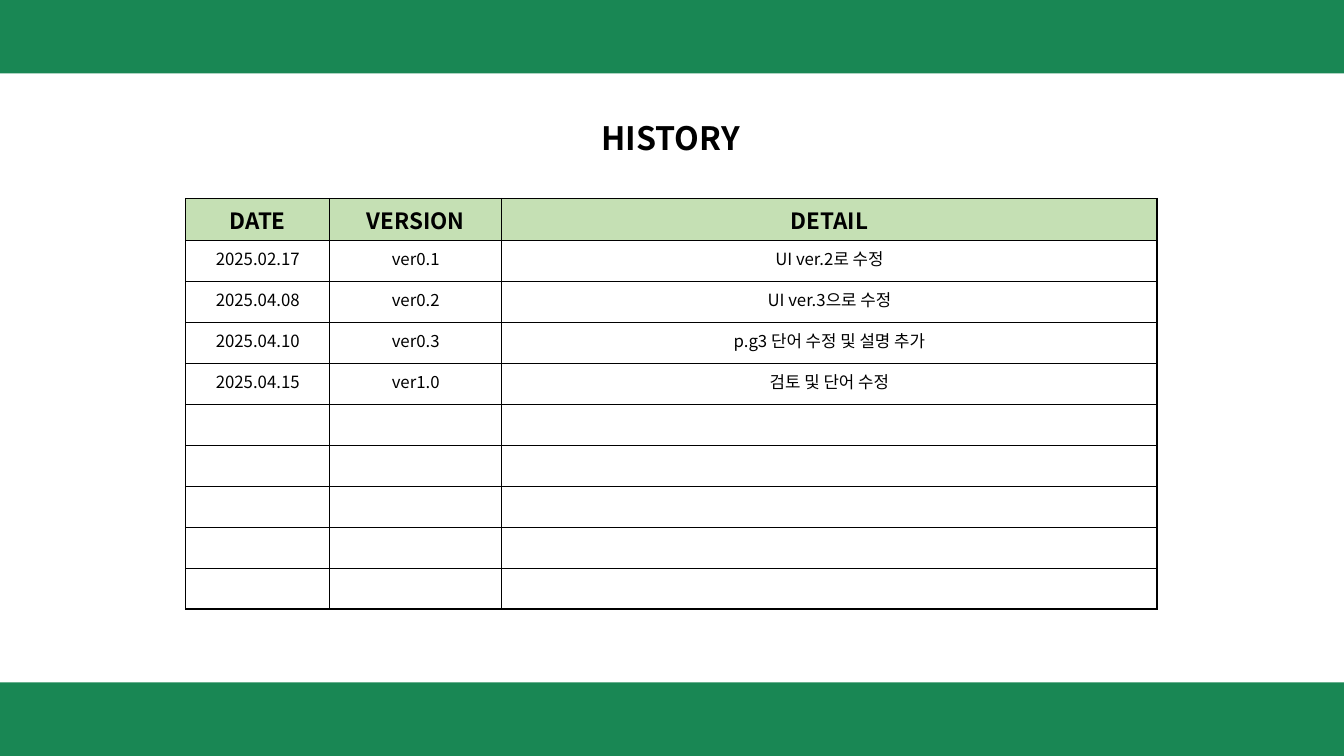
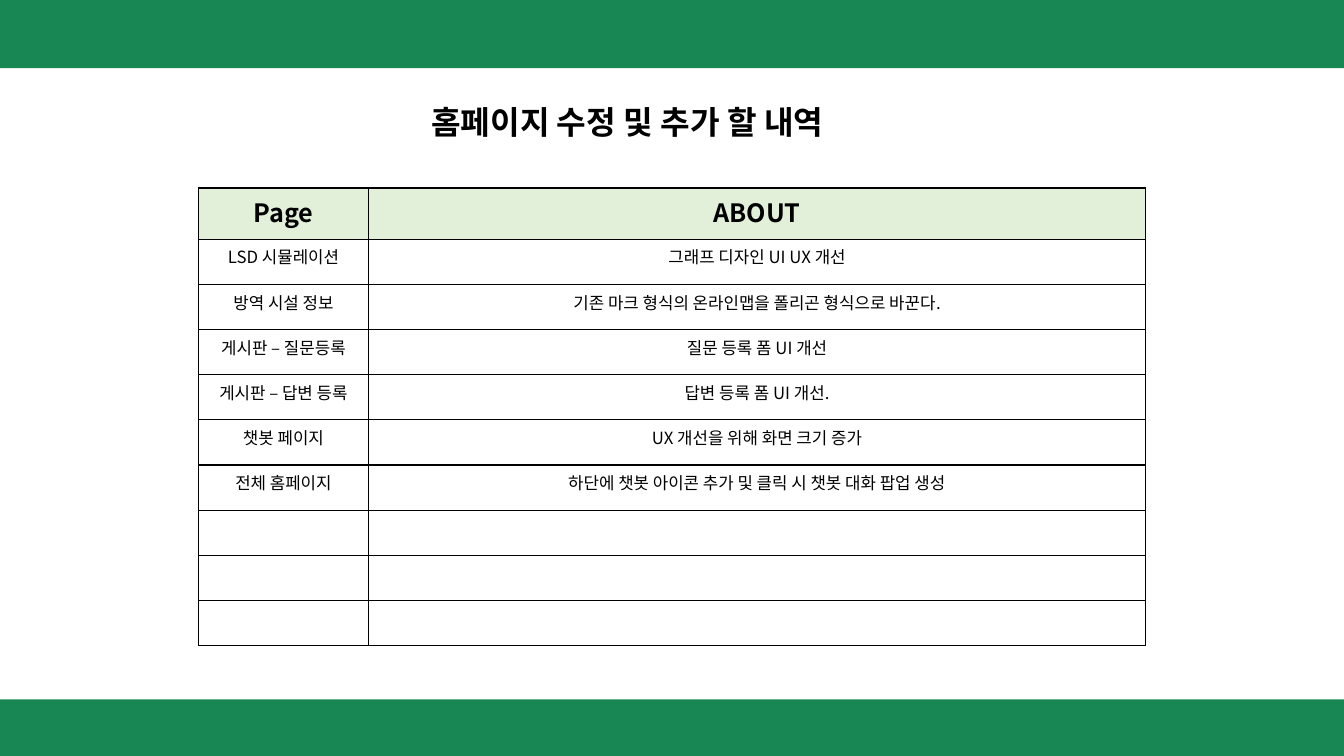
"""Build two change-log slides that share green bands, a title and a ruled table."""
from dataclasses import dataclass

from lxml import etree
from pptx import Presentation
from pptx import util as u
from pptx.dml.color import RGBColor
from pptx.enum import shapes, text
from pptx.oxml import ns

PAGE_WIDTH, PAGE_HEIGHT = 1280, 720


@dataclass(frozen=True)
class Theme:
    """Colours and type sizes of the deck."""
    font: str = "Noto Sans CJK KR"
    ink: str = "000000"
    band: str = "198754"
    title_size: int = 23
    body_size: int = 12
    border: float = 1


THEME = Theme()

HISTORY = {
    "bands": (70, 70),
    "title": "HISTORY",
    "title_box": (563, 107, 155, 47),
    "table_at": (177, 189),
    "columns": (137, 164, 624),
    "heights": (39, 39),
    "head_fill": "C5E0B4",
    "head_size": 16,
    "blank_rows": 5,
    "rows": [
        ("DATE", "VERSION", "DETAIL"),
        ("2025.02.17", "ver0.1", "UI ver.2로 수정"),
        ("2025.04.08", "ver0.2", "UI ver.3으로 수정"),
        ("2025.04.10", "ver0.3", "p.g3 단어 수정 및 설명 추가"),
        ("2025.04.15", "ver1.0", "검토 및 단어 수정"),
    ],
}

CHANGES = {
    "bands": (65, 54),
    "title": "홈페이지 수정 및 추가 할 내역",
    "title_box": (401, 92, 529, 47),
    "table_at": (189, 179),
    "columns": (162, 740),
    "heights": (49, 43),
    "head_fill": "E2F0D9",
    "head_size": 18,
    "blank_rows": 3,
    "rows": [
        ("Page", "ABOUT"),
        ("LSD 시뮬레이션", "그래프 디자인 UI UX 개선"),
        ("방역 시설 정보", "기존 마크 형식의 온라인맵을 폴리곤 형식으로 바꾼다."),
        ("게시판 – 질문등록", "질문 등록 폼 UI 개선"),
        ("게시판 – 답변 등록", "답변 등록 폼 UI 개선."),
        ("챗봇 페이지", "UX 개선을 위해 화면 크기 증가"),
        ("전체 홈페이지", "하단에 챗봇 아이콘 추가 및 클릭 시 챗봇 대화 팝업 생성"),
    ],
}


def px(length):
    """Turn pixels into EMU."""
    return u.Emu(length * 9525)


def write(frame, words, *, size, bold=False, align=text.PP_ALIGN.CENTER):
    """Write one formatted paragraph into a text frame."""
    para = frame.paragraphs[0]
    para.alignment = align
    if not words:
        para._p.get_or_add_endParaRPr().set("sz", str(size * 100))
        return
    span = para.add_run()
    span.text = words
    span.font.size = u.Pt(size)
    span.font.bold = bold
    span.font.name = THEME.font
    span.font.color.rgb = RGBColor.from_string(THEME.ink)
    etree.SubElement(span.font._element, ns.qn("a:ea"), typeface=THEME.font)


def add_bands(page, top_height, bottom_height):
    """Draw the bands along the top and bottom edges of the page."""
    for top, height in ((0, top_height), (PAGE_HEIGHT - bottom_height, bottom_height)):
        band = page.shapes.add_shape(
            shapes.MSO_SHAPE.RECTANGLE, 0, px(top), px(PAGE_WIDTH), px(height))
        band.shadow.inherit = False
        band.fill.solid()
        band.fill.fore_color.rgb = RGBColor.from_string(THEME.band)
        band.line.fill.background()


def place_title(page, words, box):
    """Move the title placeholder to its box and fill it."""
    title = page.shapes.title
    title.left, title.top, title.width, title.height = map(px, box)
    frame = title.text_frame
    frame.word_wrap = True
    frame.auto_size = text.MSO_AUTO_SIZE.NONE
    frame.vertical_anchor = text.MSO_ANCHOR.BOTTOM
    write(frame, words, size=THEME.title_size, bold=True, align=text.PP_ALIGN.LEFT)


def rule_cell(cell):
    """Draw a solid border on the four sides of a cell."""
    properties = cell._tc.get_or_add_tcPr()
    for side in ("lnL", "lnR", "lnT", "lnB"):
        line = etree.SubElement(properties, ns.qn(f"a:{side}"), w=str(u.Pt(THEME.border)))
        fill = etree.SubElement(line, ns.qn("a:solidFill"))
        etree.SubElement(fill, ns.qn("a:srgbClr"), val=THEME.ink)


def add_log_table(page, content):
    """Add the ruled table with a tinted header and blank rows at the end."""
    columns = content["columns"]
    head_height, row_height = content["heights"]
    rows = content["rows"] + [("",) * len(columns)] * content["blank_rows"]
    left, top = content["table_at"]
    height = head_height + row_height * (len(rows) - 1)
    table = page.shapes.add_table(
        len(rows), len(columns), px(left), px(top), px(sum(columns)), px(height)).table
    table.horz_banding = False
    for column, width in zip(table.columns, columns):
        column.width = px(width)
    for index, words in enumerate(rows):
        is_head = index == 0
        table.rows[index].height = px(head_height if is_head else row_height)
        for cell, word in zip(table.rows[index].cells, words):
            rule_cell(cell)
            if is_head:
                cell.fill.solid()
                cell.fill.fore_color.rgb = RGBColor.from_string(content["head_fill"])
            else:
                cell.fill.background()
            size = content["head_size"] if is_head else THEME.body_size
            write(cell.text_frame, word, size=size, bold=is_head)


def add_log_page(deck, content):
    """Add one slide with bands, title and table."""
    page = deck.slides.add_slide(deck.slide_layouts.get_by_name("Title Only"))
    add_bands(page, *content["bands"])
    place_title(page, content["title"], content["title_box"])
    add_log_table(page, content)


def main():
    """Build and save the deck."""
    deck = Presentation()
    deck.slide_width, deck.slide_height = px(PAGE_WIDTH), px(PAGE_HEIGHT)
    for content in (HISTORY, CHANGES):
        add_log_page(deck, content)
    deck.save("out.pptx")


if __name__ == "__main__":
    main()
